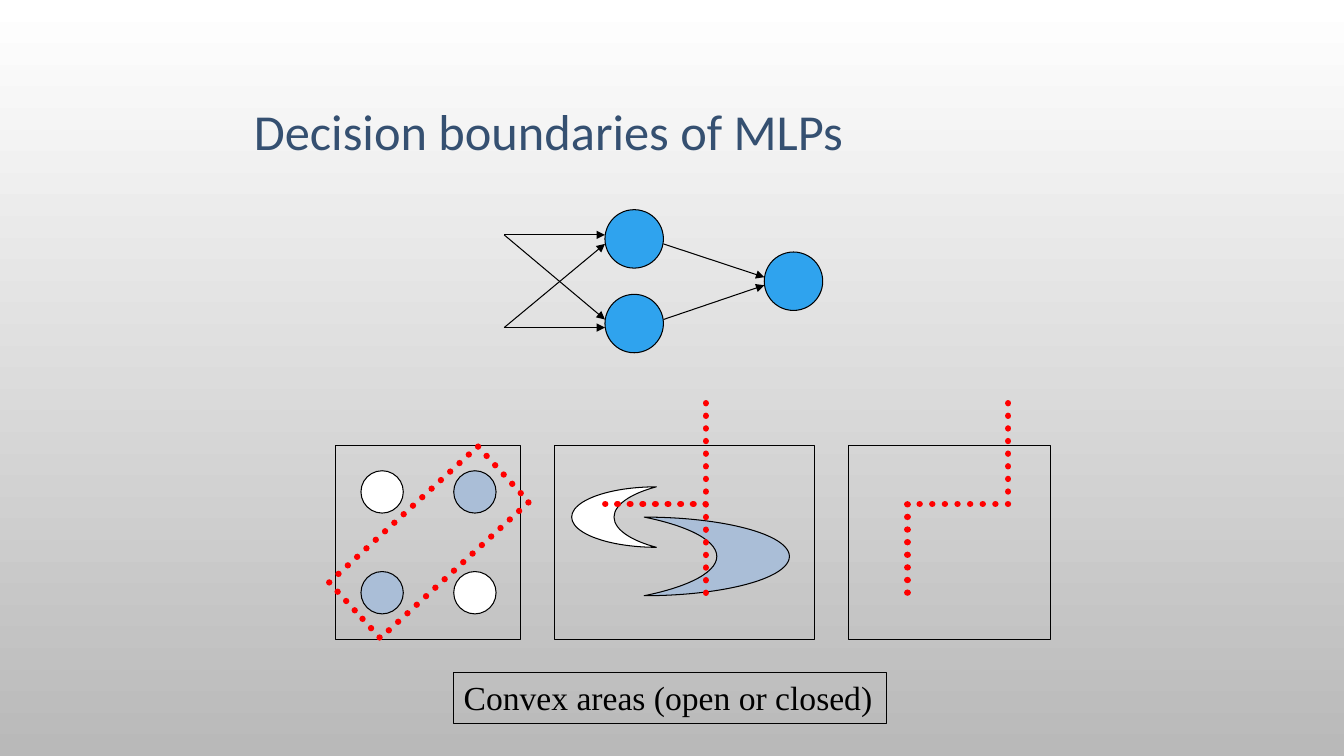
from pptx import Presentation
from pptx.dml.color import RGBColor
from pptx.enum.dml import MSO_LINE
from pptx.enum.shapes import MSO_CONNECTOR, MSO_SHAPE
from pptx.enum.text import MSO_ANCHOR, MSO_AUTO_SIZE, PP_ALIGN
from pptx.oxml.ns import qn
from pptx.util import Inches, Pt
from lxml import etree

OVAL, RECTANGLE, MOON = MSO_SHAPE.OVAL, MSO_SHAPE.RECTANGLE, MSO_SHAPE.MOON
STRAIGHT = MSO_CONNECTOR.STRAIGHT
DOTS = MSO_LINE.ROUND_DOT
MIDDLE, TOP = MSO_ANCHOR.MIDDLE, MSO_ANCHOR.TOP
LEFT = PP_ALIGN.LEFT
FIT_SHAPE = MSO_AUTO_SIZE.SHAPE_TO_FIT_TEXT

COLORS = {
    "top": "FFFFFF",
    "bottom": "B9B9B9",
    "title": "355071",
    "ink": "000000",
    "neuron": "2FA3EE",
    "class_a": "FFFFFF",
    "class_b": "AABED7",
    "boundary": "FF0000",
}


def color(name):
    return RGBColor.from_string(COLORS[name])


def bezier_points(start, curves, steps=16):
    points = [start]
    for first, second, end in curves:
        origin = points[-1]
        for step in range(1, steps + 1):
            t = step / steps
            u = 1 - t
            points.append(tuple(
                u**3 * a + 3 * u**2 * t * b + 3 * u * t**2 * c + t**3 * d
                for a, b, c, d in zip(origin, first, second, end)
            ))
    return points


class SlideBuilder:
    def __init__(self, page):
        self.page = page
        self.shapes = page.shapes

    def background(self):
        fill = self.page.background.fill
        fill.gradient()
        fill.gradient_angle = 270
        for stop, name in zip(fill.gradient_stops, ("top", "bottom")):
            stop.color.rgb = color(name)

    def outline(self, shape, fill=None):
        shape.shadow.inherit = False
        if fill:
            shape.fill.solid()
            shape.fill.fore_color.rgb = color(fill)
        else:
            shape.fill.background()
        shape.line.color.rgb = color("ink")
        shape.line.width = Pt(0.75)

    def dotted(self, shape):
        self.outline(shape)
        shape.line.color.rgb = color("boundary")
        shape.line.width = Pt(4.5)
        shape.line.dash_style = DOTS
        shape.line._ln.set("cap", "rnd")

    def shape(self, kind, left, top, width, height, fill=None):
        shape = self.shapes.add_shape(
            kind, Inches(left), Inches(top), Inches(width), Inches(height))
        self.outline(shape, fill)
        return shape

    def text(self, box, words, font, size, name, anchor, wrap):
        frame = box.text_frame
        frame.text = words
        frame.word_wrap = wrap
        frame.vertical_anchor = anchor
        para = frame.paragraphs[0]
        para.alignment = LEFT
        span = para.runs[0]
        span.font.name = font
        span.font.size = Pt(size)
        span.font.color.rgb = color(name)

    def title(self, words):
        box = self.shapes.add_textbox(
            Inches(2.42), Inches(0.67), Inches(8.5), Inches(1.25))
        self.text(box, words, "Calibri", 36, "title", MIDDLE, True)

    def caption(self, words):
        box = self.shape(RECTANGLE, 4.5, 6.67, 4.29, 0.51)
        self.text(box, words, "Times New Roman", 24, "ink", TOP, False)
        box.text_frame.auto_size = FIT_SHAPE

    def arrow(self, start, end):
        arrow = self.shapes.add_connector(
            STRAIGHT, *(Inches(value) for value in start + end))
        arrow.line.color.rgb = color("ink")
        arrow.line.width = Pt(0.75)
        etree.SubElement(arrow.line._ln, qn("a:tailEnd"), type="triangle")
        etree.SubElement(arrow._element.spPr, qn("a:effectLst"))

    def boundary(self, start, curves):
        points = bezier_points(start, curves)
        builder = self.shapes.build_freeform(*points[0], scale=Inches(1))
        builder.add_line_segments(points[1:], close=False)
        self.dotted(builder.convert_to_shape())


def main():
    deck = Presentation()
    deck.slide_width, deck.slide_height = Inches(13.33), Inches(7.5)
    slide = SlideBuilder(deck.slides.add_slide(deck.slide_layouts[6]))
    slide.background()
    slide.title("Decision boundaries of MLPs")

    for row, top in enumerate((4.67, 5.67)):
        for column, left in enumerate((3.58, 4.5)):
            fill = "class_a" if row == column else "class_b"
            slide.shape(OVAL, left, top, 0.42, 0.42, fill)
    slide.shape(MOON, 5.67, 4.83, 0.84, 0.6, "class_a")
    crescent = slide.shape(MOON, 6.39, 5.13, 1.44, 0.78, "class_b")
    crescent._element.spPr.xfrm.set("flipH", "1")
    for left, width in ((3.33, 1.83), (5.5, 2.58), (8.42, 2)):
        slide.shape(RECTANGLE, left, 4.42, width, 1.92)

    for left, top in ((7.58, 2.5), (6, 2.08), (6, 2.92)):
        slide.shape(OVAL, left, top, 0.58, 0.58, "neuron")
    for start, end in (
        ((6.58, 2.42), (7.58, 2.75)),
        ((6.58, 3.17), (7.58, 2.83)),
        ((5, 2.33), (6, 2.33)),
        ((5, 3.25), (6, 2.42)),
        ((5, 2.33), (6, 3.17)),
        ((5, 3.25), (6, 3.25)),
    ):
        slide.arrow(start, end)

    band = slide.shape(RECTANGLE, 3.88, 4.38, 0.75, 2)
    band.rotation = 47.5
    slide.dotted(band)
    slide.boundary((6.92, 4.42), (
        ((6.63, 4.62), (6.35, 4.82), (6.33, 5.08)),
        ((6.32, 5.35), (6.74, 5.79), (6.83, 6)),
        ((6.93, 6.21), (6.92, 6.27), (6.92, 6.33)),
    ))
    slide.boundary((9.67, 4.42), (
        ((9.49, 4.62), (9.32, 4.83), (9.25, 5.08)),
        ((9.18, 5.33), (9.28, 5.71), (9.25, 5.92)),
        ((9.22, 6.12), (9.15, 6.23), (9.08, 6.33)),
    ))
    slide.caption("Convex areas (open or closed)")
    deck.save("out.pptx")


if __name__ == "__main__":
    main()
